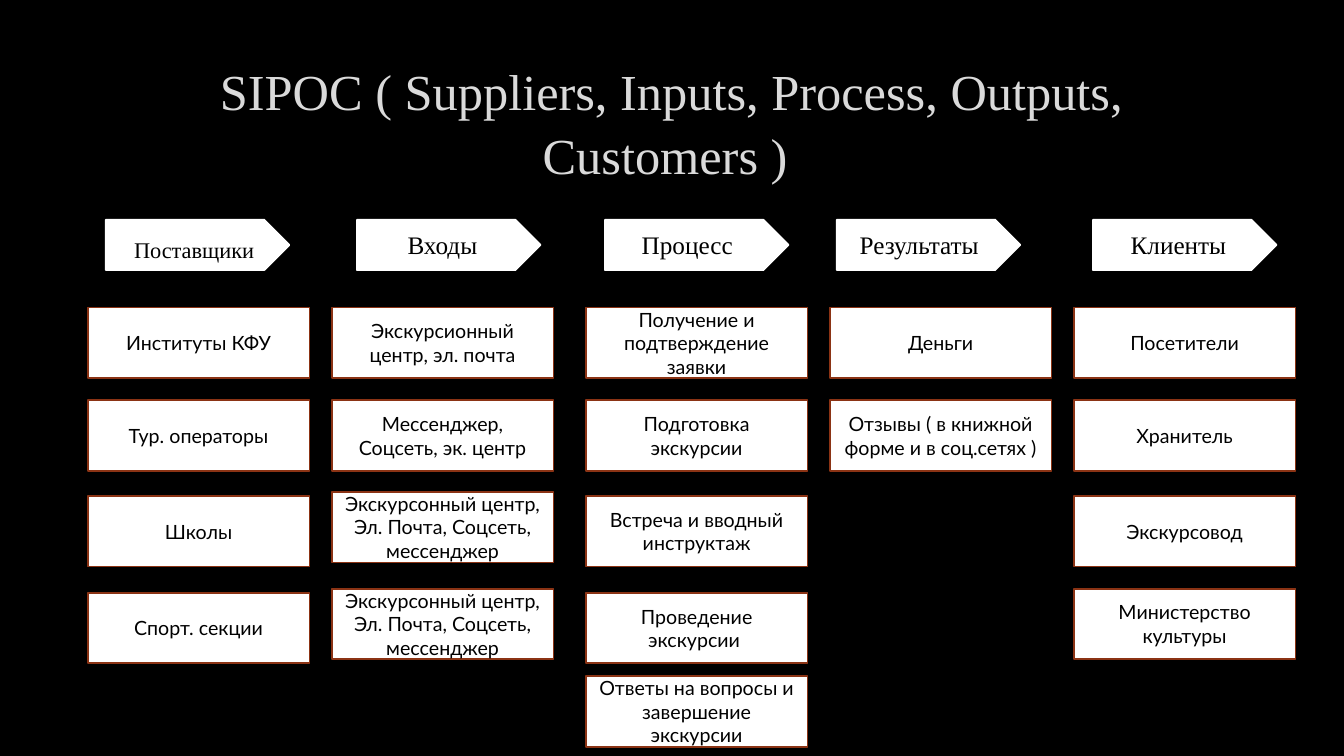
from pptx import Presentation, util as u
from pptx.dml.color import RGBColor
from pptx.enum import shapes, text

COLORS = {"back": "000000", "title": "DADADA", "fill": "FFFFFF",
          "edge": "8B3314", "ink": "000000"}
SERIF, SANS = "Times New Roman", "Lato"

COLUMN_LEFTS = [0.87, 3.29, 5.81, 8.23, 10.65]
ROW_TOPS = [3.05, 3.97, 4.92, 5.88, 6.71]
BOX_SIZE = (2.2, 0.7)
HEADER_TOP = 2.18
HEADER_SIZE = (1.82, 0.5)
RAISED = {(1, 2), (1, 3), (4, 3)}  # (column, row) cells set a little higher
RAISE = 0.04

# heading, its offset from the column's left edge, boxes from top to bottom
COLUMNS = [
    ("Поставщики ", 0.18,
     ["Институты КФУ", "Тур. операторы", "Школы", "Спорт. секции"]),
    ("Входы", 0.25,
     ["Экскурсионный центр, эл. почта",
      "Мессенджер, Соцсеть, эк. центр",
      "Экскурсонный центр, Эл. Почта, Соцсеть, мессенджер",
      "Экскурсонный центр, Эл. Почта, Соцсеть, мессенджер"]),
    ("Процесс ", 0.19,
     ["Получение и подтверждение заявки", "Подготовка экскурсии",
      "Встреча и вводный инструктаж", "Проведение экскурсии ",
      "Ответы на вопросы и завершение экскурсии"]),
    ("Результаты ", 0.07,
     ["Деньги", "Отзывы ( в книжной форме и в соц.сетях )"]),
    ("Клиенты", 0.19,
     ["Посетители", "Хранитель", "Экскурсовод", "Министерство культуры"]),
]


class SipocSlide:
    def __init__(self, prs):
        self.s = prs.slides.add_slide(prs.slide_layouts[6])
        self.paint(self.s.background.fill, "back")

    @staticmethod
    def paint(fill, color):
        fill.solid()
        fill.fore_color.rgb = RGBColor.from_string(COLORS[color])

    def label(self, sp, words, size, font, color):
        tf = sp.text_frame
        tf.word_wrap = True
        tf.vertical_anchor = text.MSO_ANCHOR.MIDDLE
        p = tf.paragraphs[0]
        p.text = words
        p.alignment = text.PP_ALIGN.CENTER
        p.font.size = u.Pt(size)
        p.font.name = font
        p.font.color.rgb = RGBColor.from_string(COLORS[color])
        return p

    def title(self, words):
        sp = self.s.shapes.add_textbox(*map(u.Inches, (1, 0.67, 11.32, 1.06)))
        self.label(sp, words, 36, SERIF, "title").line_spacing = 1.05

    def block(self, kind, left, top, size, edge):
        sp = self.s.shapes.add_shape(kind, *map(u.Inches, (left, top, *size)))
        sp.shadow.inherit = False
        self.paint(sp.fill, "fill")
        self.paint(sp.line.fill, edge)
        sp.line.width = u.Pt(1.25)
        return sp

    def header(self, col, offset, words, size=18):
        sp = self.block(shapes.MSO_SHAPE.PENTAGON, COLUMN_LEFTS[col] + offset,
                        HEADER_TOP, HEADER_SIZE, "fill")
        self.label(sp, words, size, SERIF, "ink")
        return sp

    def box(self, col, row, words):
        top = ROW_TOPS[row] - (RAISE if (col, row) in RAISED else 0)
        sp = self.block(shapes.MSO_SHAPE.RECTANGLE, COLUMN_LEFTS[col], top,
                        BOX_SIZE, "edge")
        self.label(sp, words, 14, SANS, "ink")


def main():
    prs = Presentation()
    prs.slide_width, prs.slide_height = u.Inches(13.33), u.Inches(7.5)
    slide = SipocSlide(prs)
    slide.title("SIPOC ( Suppliers, Inputs, Process, Outputs, Customers ) ")
    for col, (heading, offset, items) in enumerate(COLUMNS):
        sp = slide.header(col, offset, heading, 18 if col else 16)
        if col == 0:  # the smaller heading sits slightly right and low
            sp.text_frame.margin_left = u.Inches(0.21)
            sp.text_frame.margin_top = u.Inches(0.14)
        for row, words in enumerate(items):
            slide.box(col, row, words)
    prs.save("out.pptx")


if __name__ == "__main__":
    main()
